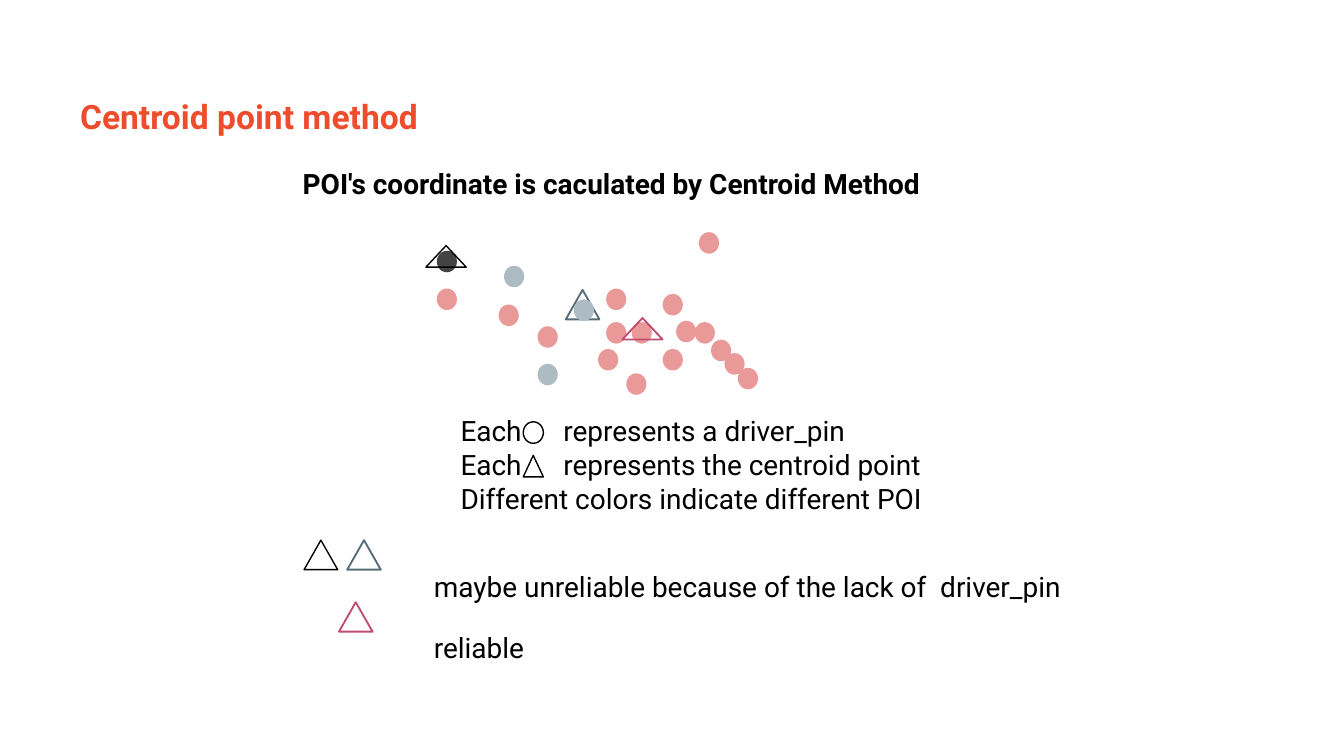
from pptx import Presentation
from pptx.dml.color import RGBColor
from pptx.enum.shapes import MSO_SHAPE
from pptx.enum.text import MSO_ANCHOR, MSO_AUTO_SIZE, PP_ALIGN
from pptx.oxml.ns import qn
from pptx.util import Pt
from lxml import etree

CIRCLE = MSO_SHAPE.OVAL
TRIANGLE = MSO_SHAPE.ISOSCELES_TRIANGLE
TOP = MSO_ANCHOR.TOP
NO_AUTOFIT = MSO_AUTO_SIZE.NONE
LEFT = PP_ALIGN.LEFT

FONT = "Roboto"
ORANGE, BLACK = "EE4D2D", "000000"
PINK, GREY, DARK = "EA9999", "ADBCC3", "434343"
MAGENTA, SLATE = "C04B73", "576C77"

PIN = (10.8, 11.5)
WIDE_TRIANGLE = (21.6, 11.5)
TALL_TRIANGLE = (18, 15.8)

# Driver pins by place of interest, relative to the plot's corner
PINS = {
    PINK: [(92.4, 63.2), (96.7, 30.8), (146.4, 0.6), (134.2, 48.1), (144.2, 48.8),
           (152.9, 58.2), (127, 63.2), (127, 33.7), (160.1, 65.4), (96.7, 48.8),
           (110.4, 48.8), (6, 30.8), (167.3, 73.3), (39.1, 39.4), (60, 51),
           (107.5, 76.2)],
    GREY: [(42, 18.6), (79.4, 36.6), (60, 71.1)],
    DARK: [(6, 10.6)],
}


def color(hex_string):
    return RGBColor.from_string(hex_string)


def place(shape, box):
    shape.left, shape.top, shape.width, shape.height = (Pt(value) for value in box)


def add_mark(slide, kind, left, top, size, fill=None, line=None, weight=1):
    shape = slide.shapes.add_shape(kind, Pt(left), Pt(top), Pt(size[0]), Pt(size[1]))
    shape.shadow.inherit = False
    if fill:
        shape.fill.solid()
        shape.fill.fore_color.rgb = color(fill)
    else:
        shape.fill.background()
    if line:
        shape.line.color.rgb = color(line)
        shape.line.width = Pt(weight)
    else:
        shape.line.fill.background()


def set_text(shape, lines, size=15, text_color=BLACK, bold=False, inset=3):
    """Fill a text shape, each line a list of runs, and return its paragraphs."""
    frame = shape.text_frame
    frame.word_wrap = True
    frame.auto_size = NO_AUTOFIT
    frame.vertical_anchor = TOP
    frame.margin_left = frame.margin_right = Pt(5)
    frame.margin_top = frame.margin_bottom = Pt(inset)
    for index, line in enumerate(lines):
        paragraph = frame.add_paragraph() if index else frame.paragraphs[0]
        paragraph.alignment = LEFT
        for text in line:
            run = paragraph.add_run()
            run.text = text
            run.font.name = FONT
            run.font.size = Pt(size)
            run.font.bold = bold
            run.font.color.rgb = color(text_color)
    return frame.paragraphs


def set_indent(paragraph, margin):
    properties = paragraph._p.get_or_add_pPr()
    properties.set("marL", str(Pt(margin)))
    properties.set("indent", "0")
    return properties


def add_title(slide, box):
    place(slide.shapes.title, box)
    set_text(slide.shapes.title, [["Centroid point method"]], 18, ORANGE, True)


def add_subtitle(slide, box):
    text_box = slide.shapes.add_textbox(*(Pt(value) for value in box))
    set_text(text_box, [["POI's coordinate is caculated by Centroid Method"]], bold=True)


def add_plot(slide, left, top):
    # The slate centroid lies behind its pin, the others in front
    add_mark(slide, TRIANGLE, left + 75.1, top + 31.5, TALL_TRIANGLE, line=SLATE)
    for fill, points in PINS.items():
        for x, y in points:
            add_mark(slide, CIRCLE, left + x, top + y, PIN, fill=fill)
    add_mark(slide, TRIANGLE, left + 0.2, top + 7.8, WIDE_TRIANGLE, line=BLACK, weight=0.75)
    add_mark(slide, TRIANGLE, left + 105.4, top + 46.6, WIDE_TRIANGLE, line=MAGENTA)


def add_legend(slide, box):
    text_box = slide.shapes.add_textbox(*(Pt(value) for value in box))
    paragraphs = set_text(text_box, [
        ["Each", " ", "represents a driver_pin"],
        ["Each", " ", "represents the centroid point"],
        ["Different colors indicate different POI"],
    ])
    for paragraph in paragraphs:
        set_indent(paragraph, 22.7)
    # Widen the space after "Each" (hundredths of a point) to hold the symbol
    for row, kind in enumerate((CIRCLE, TRIANGLE)):
        paragraphs[row].runs[1].font._element.set("spc", "1860")
        add_mark(slide, kind, box[0] + 61.3, box[1] + 7.2 + 18 * row, PIN,
                 line=BLACK, weight=0.75)


def add_reliability_notes(slide, box):
    body = slide.placeholders[1]
    place(body, box)
    paragraphs = set_text(body, [
        ["maybe unreliable because of the lack of  driver_pin"],
        ["reliable"],
    ], inset=5)
    for paragraph in paragraphs:
        properties = set_indent(paragraph, 81)
        etree.SubElement(properties, qn("a:buNone"))
        paragraph.line_spacing = 1.83
        paragraph.space_before = Pt(0)
    # Triangles in front of each note
    left, top = box[:2]
    add_mark(slide, TRIANGLE, left + 16.5, top + 4.3, TALL_TRIANGLE, line=BLACK, weight=0.75)
    add_mark(slide, TRIANGLE, left + 39.6, top + 4.3, TALL_TRIANGLE, line=SLATE)
    add_mark(slide, TRIANGLE, left + 35.2, top + 37.5, TALL_TRIANGLE, line=MAGENTA)


def main():
    presentation = Presentation()
    presentation.slide_width = Pt(720)
    presentation.slide_height = Pt(405)
    slide = presentation.slides.add_slide(presentation.slide_layouts[1])
    add_title(slide, (37.9, 48.6, 643.7, 27.4))
    add_subtitle(slide, (157.2, 86.4, 427.7, 23.8))
    add_plot(slide, 228, 123.8)
    add_legend(slide, (219, 218.8, 301, 67.7))
    add_reliability_notes(slide, (146.4, 285.1, 499.7, 62.6))
    presentation.save("out.pptx")


if __name__ == "__main__":
    main()
